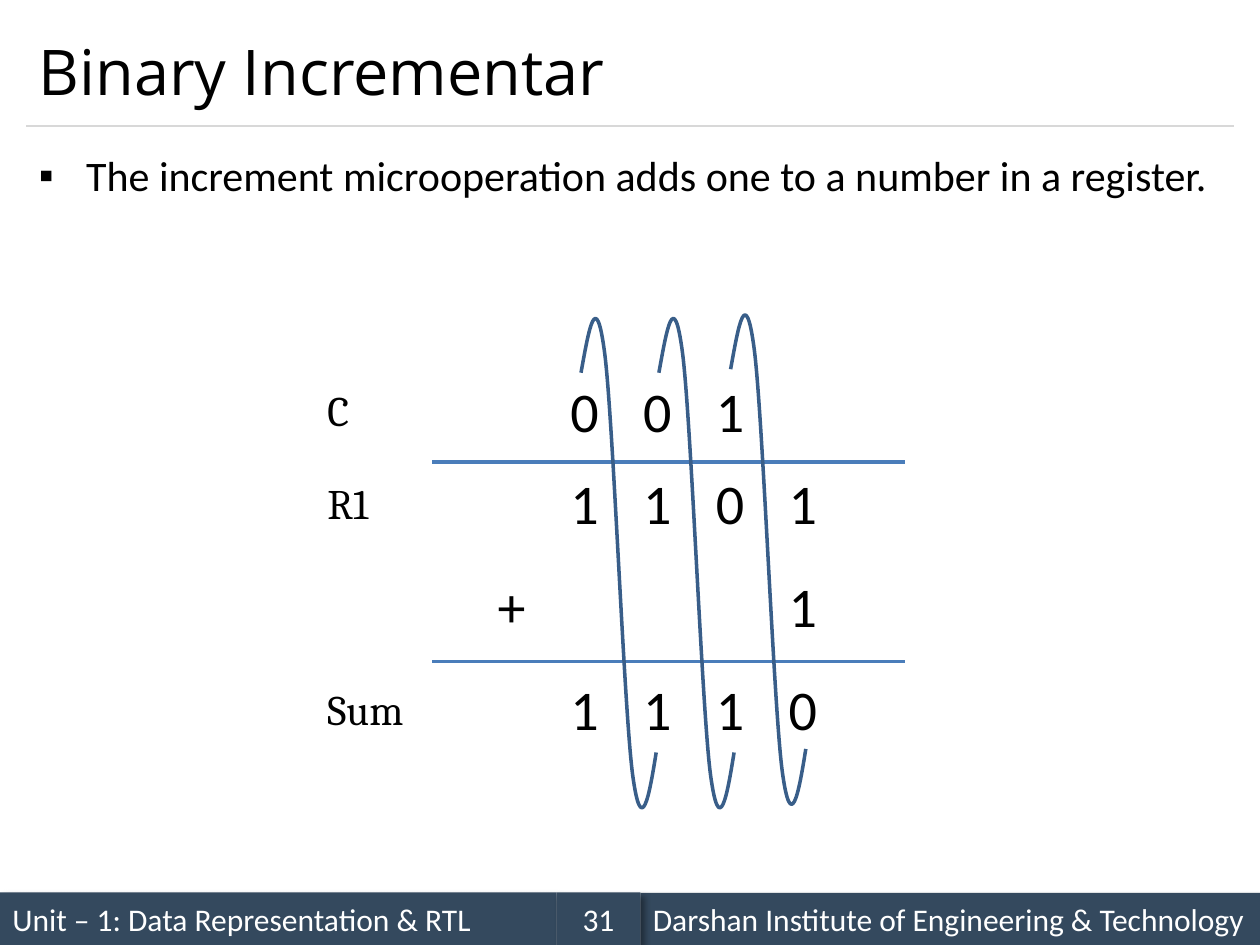
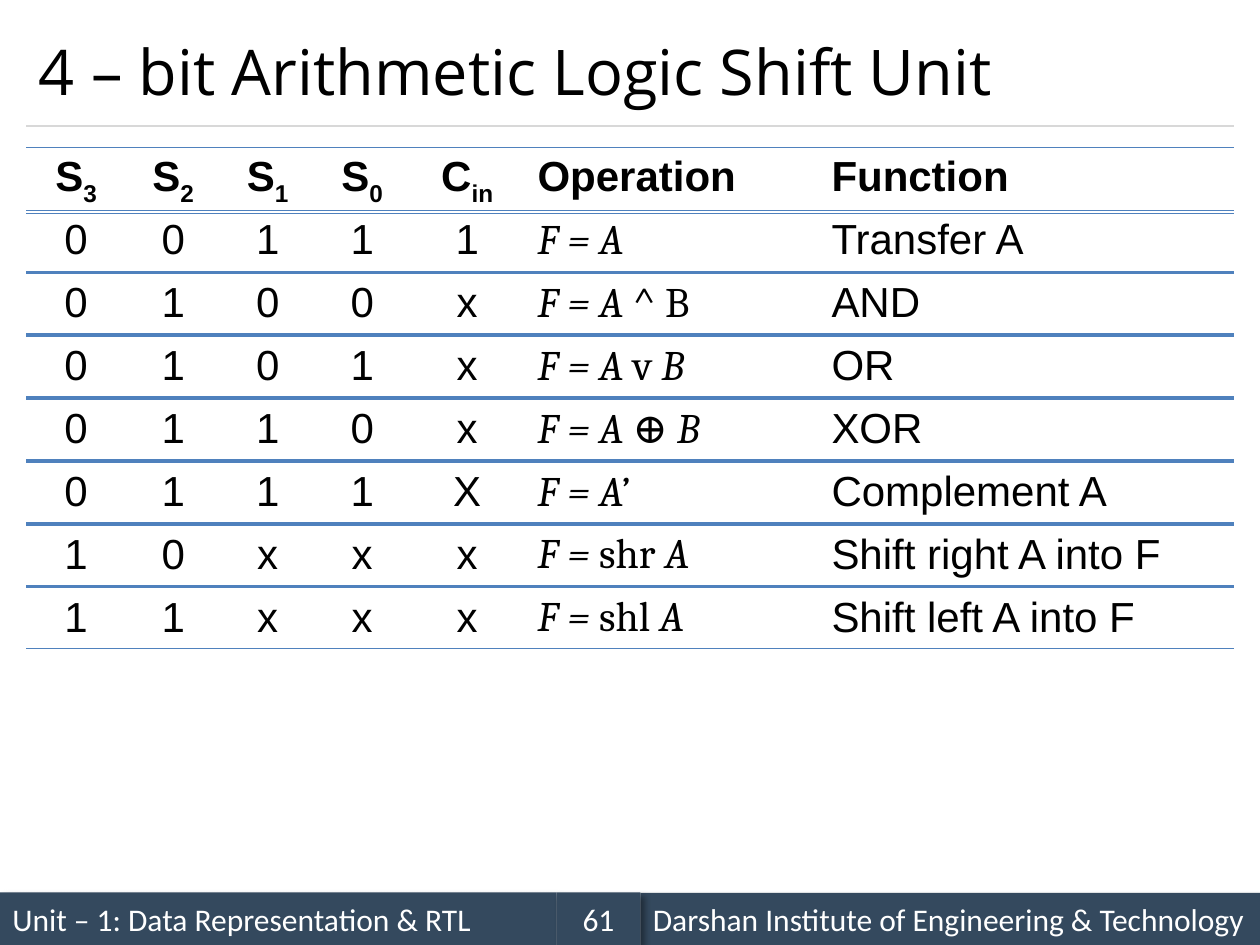
import lxml.etree
import pptx
import pptx.dml.color
import pptx.enum.shapes
import pptx.enum.text
import pptx.oxml
import pptx.oxml.ns
import pptx.util

Pt = pptx.util.Pt
qn = pptx.oxml.ns.qn
Align = pptx.enum.text.PP_ALIGN
Anchor = pptx.enum.text.MSO_ANCHOR
A_NS = pptx.oxml.ns.nsdecls("a")

COLOURS = {
    "ink": "000000",
    "paper": "FFFFFF",
    "band": "34495E",
    "hairline": "D8D8D8",
    "sum_rule": "4A7DBA",
    "carry": "395E89",
    "row_rule": "4F81BD",
}
BODY, HEADING, SYMBOL, TABLE = "Calibri", "Open Sans", "Cambria", "Arial"
UNIT = "Unit – 1: Data Representation & RTL"
INSTITUTE = "Darshan Institute of Engineering & Technology"

TITLE_BOX = (15, 8.5, 690, 63)
BULLET_BOX = (15, 78, 690, 132)
SUM_BOX = (180, 180, 337, 282)
TABLE_BOX = (15, 84.2, 690, 287.6)

SUM_LABELS = [("C", 36, 28), ("R1", 89.5, 43), ("Sum", 207, 60)]
SUM_ROWS = [(31.5, " 001 "), (84, " 1101"), (143, "+   1"), (202, " 1110")]
CARRY_STARTS = [(152, 2), (196.5, 2), (237.5, 0)]
CARRY_CURVE = [
    (43, 248), (39, 273), (34.5, 298), (29.5, 260.5), (24.5, 222.5),
    (18.5, 58), (13.5, 19.5), (8.5, -18.5), (4.5, 6.5), (0, 31),
]

COLUMN_WIDTHS = [57, 54, 54, 54, 66, 168, 237]
ROW_HEIGHT = 29.5
ROW_FRAME = 236.2
SELECTORS = 5
HEADER = ["S|3", "S|2", "S|1", "S|0", "C|in", "Operation", "Function"]
FUNCTIONS = [
    ("00111", "F = A", "Transfer A"),
    ("0100x", "F = A |^ B", "AND"),
    ("0101x", "F = A |v| B", "OR"),
    ("0110x", "F = A |⊕| B", "XOR"),
    ("0111X", "F = A’", "Complement A"),
    ("10xxx", "F = |shr| A", "Shift right A into F"),
    ("11xxx", "F = |shl| A", "Shift left A into F"),
]


def rgb(name):
    return pptx.dml.color.RGBColor.from_string(COLOURS[name])


def points(*lengths):
    return [Pt(length) for length in lengths]


def style(paragraph, font, size, colour="ink", align=Align.LEFT):
    paragraph.alignment = align
    paragraph.font.name = font
    paragraph.font.size = Pt(size)
    paragraph.font.color.rgb = rgb(colour)


def label(slide, text, box, font, size):
    frame = slide.shapes.add_textbox(*points(*box)).text_frame
    frame.word_wrap = True
    frame.text = text
    style(frame.paragraphs[0], font, size)


def rule(slide, left, right, y, colour, width):
    line = slide.shapes.add_connector(
        pptx.enum.shapes.MSO_CONNECTOR.STRAIGHT, *points(left, y, right, y))
    line.line.color.rgb = rgb(colour)
    line.line.width = Pt(width)
    lxml.etree.SubElement(line.element.spPr, qn("a:effectLst"))


def footer_band(slide, text, box, align=Align.LEFT):
    band = slide.shapes.add_shape(
        pptx.enum.shapes.MSO_SHAPE.RECTANGLE, *points(*box))
    band.fill.solid()
    band.fill.fore_color.rgb = rgb("band")
    band.line.fill.background()
    band.shadow.inherit = False
    effects = band.element.spPr.find(qn("a:effectLst"))
    effects.append(pptx.oxml.parse_xml(
        f'<a:outerShdw {A_NS} blurRad="{Pt(4)}" dist="{Pt(3)}" dir="2700000" '
        f'algn="tl" rotWithShape="0"><a:srgbClr val="{COLOURS["ink"]}">'
        '<a:alpha val="40000"/></a:srgbClr></a:outerShdw>'))
    frame = band.text_frame
    frame.word_wrap = True
    frame.vertical_anchor = Anchor.MIDDLE
    frame.text = text
    style(frame.paragraphs[0], BODY, 18, "paper", align)


def place(placeholder, box):
    placeholder.left, placeholder.top, placeholder.width, placeholder.height = points(*box)
    placeholder.text_frame.auto_size = pptx.enum.text.MSO_AUTO_SIZE.NONE
    return placeholder.text_frame


def framed_slide(deck, layout, heading, page):
    slide = deck.slides.add_slide(deck.slide_layouts.get_by_name(layout))
    footer_band(slide, UNIT, (0, 510, 318, 30))
    footer_band(slide, INSTITUTE, (366, 510.25, 354, 30))
    footer_band(slide, page, (318, 510, 48, 30), Align.CENTER)
    rule(slide, 15, 705, 72, "hairline", 0.75)
    title = place(slide.shapes.title, TITLE_BOX)
    title.vertical_anchor = Anchor.MIDDLE
    title.text = heading
    style(title.paragraphs[0], HEADING, 36)
    return slide


def bullet_list(slide, box, text):
    frame = place(slide.placeholders[1], box)
    frame.text = text
    bullet = frame.paragraphs[0]
    properties = bullet._p.get_or_add_pPr()
    properties.set("marL", str(Pt(27)))
    properties.set("indent", str(-Pt(27)))
    for tag in (f'<a:buClr {A_NS}><a:srgbClr val="{COLOURS["ink"]}"/></a:buClr>',
                f'<a:buFont {A_NS} typeface="Arial"/>',
                f'<a:buChar {A_NS} char="▪"/>'):
        properties.append(pptx.oxml.parse_xml(tag))
    bullet.line_spacing = 1.14
    bullet.space_before = Pt(0)
    style(bullet, BODY, 24, align=Align.JUSTIFY)


def carry_loop(slide, left, top):
    start, *controls = [tuple(points(left + x, top + y)) for x, y in CARRY_CURVE]
    builder = slide.shapes.build_freeform(*start)
    builder.add_line_segments(controls, close=False)
    loop = builder.convert_to_shape()
    outline = loop.element.find(".//" + qn("a:path"))
    segments = outline.findall(qn("a:lnTo"))
    for first in range(0, len(segments), 3):
        curve = lxml.etree.SubElement(outline, qn("a:cubicBezTo"))
        for segment in segments[first:first + 3]:
            curve.append(segment[0])
            outline.remove(segment)
    loop.fill.background()
    loop.line.color.rgb = rgb("carry")
    loop.line.width = Pt(2)
    loop.shadow.inherit = False


def binary_sum(slide, box):
    left, top, width, height = box
    for row_top, digits in SUM_ROWS:
        for column, digit in enumerate(digits):
            if digit != " ":
                digit_box = (left + 97.25 + 41.6 * column, top + row_top, 31, 46)
                label(slide, digit, digit_box, BODY, 32)
    for text, label_top, label_width in SUM_LABELS:
        label(slide, text, (left, top + label_top, label_width, 36), SYMBOL, 24)
    for rule_top in (84, 198):
        rule(slide, left + 67, left + width, top + rule_top, "sum_rule", 2)
    for loop_left, loop_top in CARRY_STARTS:
        carry_loop(slide, left + loop_left, top + loop_top)


def border_cell(cell):
    cell.fill.background()
    properties = cell._tc.get_or_add_tcPr()
    solid = f'<a:solidFill><a:srgbClr val="{COLOURS["row_rule"]}"/></a:solidFill>'
    for position, side in enumerate("LRTB"):
        paint = solid if side in "TB" else "<a:noFill/>"
        properties.insert(position, pptx.oxml.parse_xml(
            f'<a:ln{side} {A_NS} w="{Pt(1)}">{paint}</a:ln{side}>'))


def fill_cell(cell, text, column, is_header):
    border_cell(cell)
    is_formula = column == SELECTORS and not is_header
    paragraph = cell.text_frame.paragraphs[0]
    style(paragraph, SYMBOL if is_formula else TABLE, 24,
          align=Align.CENTER if column < SELECTORS else Align.LEFT)
    paragraph.font.bold = is_header
    for position, part in enumerate(text.split("|")):
        run = paragraph.add_run()
        run.text = part
        if is_formula:
            run.font.italic = position % 2 == 0
        elif position:
            run._r.get_or_add_rPr().set("baseline", "-25000")


def function_table(slide, box):
    left, top, width, height = box
    rows = [HEADER] + [[*bits, operation, name] for bits, operation, name in FUNCTIONS]
    pitch = height / len(rows)
    for index, texts in enumerate(rows):
        row_frame = slide.shapes.add_table(
            1, len(texts), *points(left, top + pitch * index, width, ROW_HEIGHT))
        table = row_frame.table
        table.first_row = table.horz_banding = False
        for column, text in enumerate(texts):
            table.columns[column].width = Pt(COLUMN_WIDTHS[column])
            fill_cell(table.cell(0, column), text, column, index == 0)
        row_frame.width = row_frame.height = Pt(ROW_FRAME)


def main():
    deck = pptx.Presentation()
    deck.slide_width, deck.slide_height = points(720, 540)

    incrementer = framed_slide(deck, "Title and Content", "Binary Incrementar", "31")
    bullet_list(incrementer, BULLET_BOX,
                "The increment microoperation adds one to a number in a register.")
    binary_sum(incrementer, SUM_BOX)

    shift_unit = framed_slide(deck, "Title Only", "4 – bit Arithmetic Logic Shift Unit", "61")
    function_table(shift_unit, TABLE_BOX)

    deck.save("out.pptx")


if __name__ == "__main__":
    main()
